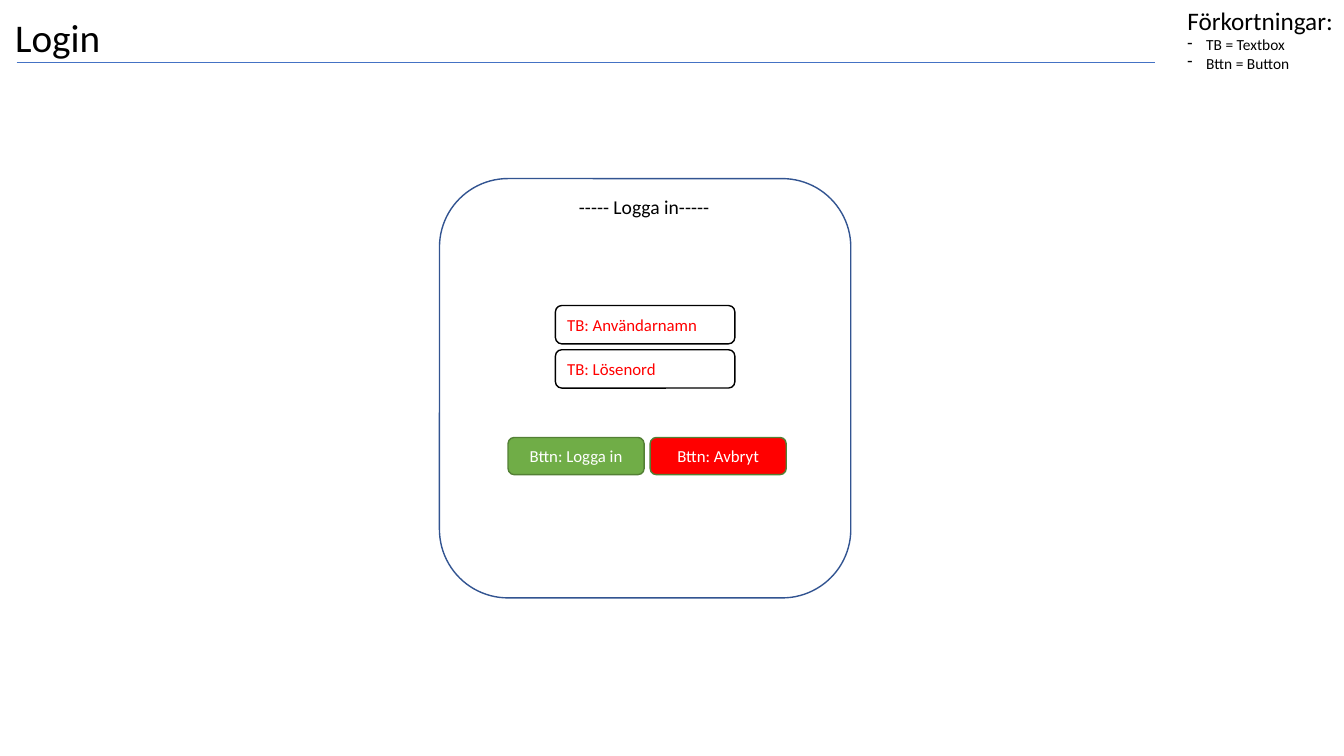
from lxml import etree
from pptx import Presentation
from pptx.dml.color import RGBColor
from pptx.enum.shapes import MSO_CONNECTOR as Connector, MSO_SHAPE as Shape
from pptx.enum.text import MSO_ANCHOR as Anchor, MSO_AUTO_SIZE as AutoSize, PP_ALIGN as Align
from pptx.oxml.ns import qn
from pptx.util import Pt

BLACK = RGBColor(0, 0, 0)
WHITE = RGBColor(255, 255, 255)
RED = RGBColor(255, 0, 0)
GREEN = RGBColor(0x70, 0xAD, 0x47)
DARK_GREEN = RGBColor(0x53, 0x80, 0x35)
BLUE = RGBColor(0x44, 0x72, 0xC4)
DARK_BLUE = RGBColor(0x32, 0x54, 0x91)
FONT = "Calibri"

TITLE = "Login"
PANEL_HEADING = "----- Logga in-----"
FIELDS = ["TB: Användarnamn", "TB: Lösenord"]
BUTTONS = [("Bttn: Logga in", GREEN), ("Bttn: Avbryt", RED)]
LEGEND_HEADING = "Förkortningar:"
LEGEND = ["TB = Textbox", "Bttn = Button"]

FIELD_LEFT, FIELD_TOP, FIELD_STEP = 396.7, 218.2, 31.6
BUTTON_LEFT, BUTTON_TOP, BUTTON_STEP = 362.9, 312.5, 101.5
BULLET_INDENT = 13.5


def points(*lengths):
    return [Pt(length) for length in lengths]


def style(para, size, color, align=Align.LEFT):
    para.alignment = align
    for span in para.runs:
        span.font.name = FONT
        span.font.size = Pt(size)
        span.font.color.rgb = color


def add_rounded(page, place, line, fill=None):
    box = page.shapes.add_shape(Shape.ROUNDED_RECTANGLE, *points(*place))
    box.shadow.inherit = False
    box.line.color.rgb = line
    box.line.width = Pt(1)
    if fill is None:
        box.fill.background()
    else:
        box.fill.solid()
        box.fill.fore_color.rgb = fill
    return box


def add_control(page, place, text, color, line, fill=None, align=Align.LEFT):
    box = add_rounded(page, place, line, fill)
    box.text_frame.text = text
    box.text_frame.vertical_anchor = Anchor.MIDDLE
    style(box.text_frame.paragraphs[0], 12, color, align)


def add_text(page, place, text):
    frame = page.shapes.add_textbox(*points(*place)).text_frame
    frame.word_wrap = True
    frame.auto_size = AutoSize.SHAPE_TO_FIT_TEXT
    frame.text = text
    return frame


def add_dash(para):
    props = para._p.get_or_add_pPr()
    props.set("marL", str(Pt(BULLET_INDENT)))
    props.set("indent", str(-Pt(BULLET_INDENT)))
    etree.SubElement(props, qn("a:buChar")).set("char", "-")


deck = Presentation()
deck.slide_width, deck.slide_height = points(960, 540)
page = deck.slides.add_slide(deck.slide_layouts[5])

title = page.shapes.title
title.left, title.top, title.width, title.height = points(3.6, 4.3, 828, 48.2)
title.text_frame.text = TITLE
title.text_frame.vertical_anchor = Anchor.MIDDLE
title.text_frame.paragraphs[0].line_spacing = 0.9
style(title.text_frame.paragraphs[0], 28, BLACK)

rule = page.shapes.add_connector(Connector.STRAIGHT, *points(11.9, 44.8, 825.1, 44.8))
rule.line.color.rgb = BLUE
rule.line.width = Pt(0.5)
etree.SubElement(rule._element.spPr, qn("a:effectLst"))

add_rounded(page, (313.9, 127.6, 293.8, 299.5), DARK_BLUE)
heading = add_text(page, (392.4, 135.4, 135.4, 24.5), PANEL_HEADING)
style(heading.paragraphs[0], 14, BLACK, Align.CENTER)

for row, text in enumerate(FIELDS):
    place = (FIELD_LEFT, FIELD_TOP + row * FIELD_STEP, 128.2, 27.4)
    add_control(page, place, text, RED, BLACK)

for column, (text, fill) in enumerate(BUTTONS):
    place = (BUTTON_LEFT + column * BUTTON_STEP, BUTTON_TOP, 97.2, 26.6)
    add_control(page, place, text, WHITE, DARK_GREEN, fill, Align.CENTER)

legend = add_text(page, (841, 0, 213.8, 55.4), LEGEND_HEADING)
style(legend.paragraphs[0], 18, BLACK)
for text in LEGEND:
    para = legend.add_paragraph()
    para.text = text
    style(para, 11, BLACK)
    add_dash(para)

deck.save("out.pptx")
